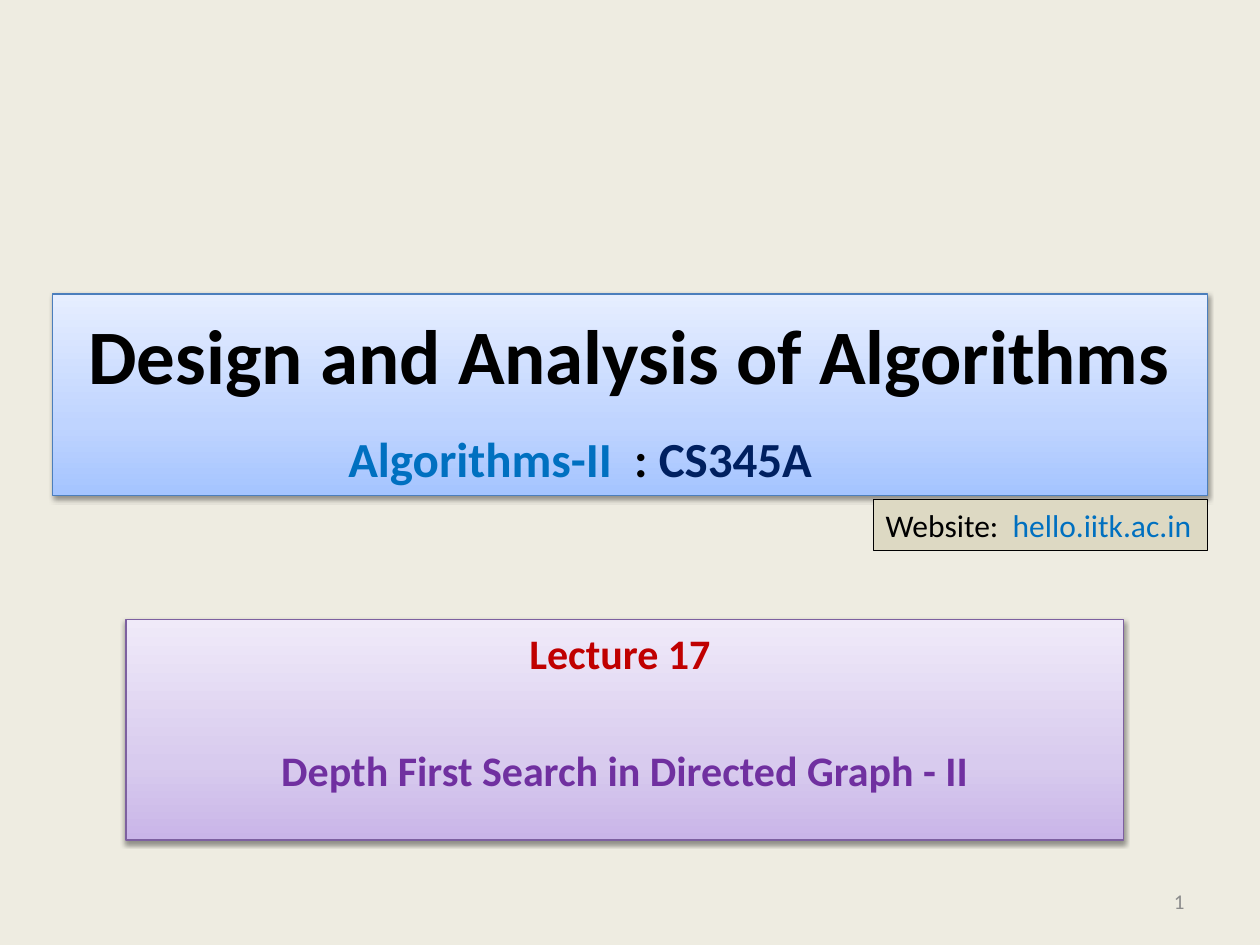
"""Build the title slide of a lecture on directed graph search."""
from dataclasses import dataclass

from lxml import etree
from pptx import Presentation
from pptx.dml.color import RGBColor
from pptx.enum.shapes import MSO_SHAPE
from pptx.enum.text import MSO_ANCHOR, PP_ALIGN
from pptx.oxml.ns import qn
from pptx.util import Pt

RECTANGLE = MSO_SHAPE.RECTANGLE
TOP, MIDDLE = MSO_ANCHOR.TOP, MSO_ANCHOR.MIDDLE
LEFT, CENTER, RIGHT = PP_ALIGN.LEFT, PP_ALIGN.CENTER, PP_ALIGN.RIGHT


@dataclass(frozen=True)
class Theme:
    font: str = "Calibri"
    background: str = "EEECE1"
    black: str = "000000"
    blue: str = "0070C0"
    navy: str = "002060"
    red: str = "C00000"
    purple: str = "7030A0"
    gray: str = "8C8C8C"
    tan: str = "DDD9C3"
    title_line: str = "4B7EBC"
    lecture_line: str = "7D60A0"
    title_stops: tuple[str, ...] = ("A4C4FF", "BFD4FF", "E6EEFF")
    lecture_stops: tuple[str, ...] = ("C9B5E8", "D8CBEE", "F0EAF9")
    stop_positions: tuple[int, ...] = (0, 35, 100)
    title_size: int = 44
    course_size: int = 28
    lecture_size: int = 24
    website_size: int = 18
    number_size: int = 12


@dataclass(frozen=True)
class Box:
    left: float
    top: float
    width: float
    height: float

    def lengths(self) -> tuple:
        return Pt(self.left), Pt(self.top), Pt(self.width), Pt(self.height)


@dataclass(frozen=True)
class Run:
    text: str
    color: str


THEME = Theme()


def rgb(color: str) -> RGBColor:
    return RGBColor.from_string(color)


def add_rectangle(slide, box: Box, line: str):
    shape = slide.shapes.add_shape(RECTANGLE, *box.lengths())
    shape.shadow.inherit = False
    shape.line.color.rgb = rgb(line)
    shape.line.width = Pt(0.75)
    return shape


def add_panel(slide, box: Box, line: str, stops: tuple[str, ...]):
    shape = add_rectangle(slide, box, line)
    shape.fill.gradient()
    shape.fill.gradient_angle = 90
    properties = shape._element.spPr
    stop_list = properties.find(".//" + qn("a:gsLst"))
    stop_list.clear()
    for position, color in zip(THEME.stop_positions, stops):
        stop = etree.SubElement(stop_list, qn("a:gs"), pos=str(position * 1000))
        etree.SubElement(stop, qn("a:srgbClr"), val=color)
    shadow = etree.SubElement(
        properties.find(qn("a:effectLst")), qn("a:outerShdw"),
        blurRad=str(Pt(3.1)), dist=str(Pt(1.6)), dir="5400000", rotWithShape="0")
    shadow_color = etree.SubElement(shadow, qn("a:srgbClr"), val=THEME.black)
    etree.SubElement(shadow_color, qn("a:alpha"), val="38000")
    return shape


def write_text(shape, *paragraphs: list[Run], size: float, bold: bool = False,
               align=LEFT, anchor=TOP, wrap: bool = True,
               inset_top: float = 3.6, gap: float = 0) -> None:
    frame = shape.text_frame
    frame.word_wrap = wrap
    frame.vertical_anchor = anchor
    frame.margin_top = Pt(inset_top)
    for index, runs in enumerate(paragraphs):
        paragraph = frame.add_paragraph() if index else frame.paragraphs[0]
        paragraph.alignment = align
        if index:
            paragraph.space_before = Pt(gap)
        for item in runs:
            run = paragraph.add_run()
            run.text = item.text
            run.font.name = THEME.font
            run.font.size = Pt(size)
            run.font.bold = bold
            run.font.color.rgb = rgb(item.color)


def main() -> None:
    presentation = Presentation()
    presentation.slide_width, presentation.slide_height = Pt(720), Pt(540)
    slide = presentation.slides.add_slide(presentation.slide_layouts[6])
    slide.background.fill.solid()
    slide.background.fill.fore_color.rgb = rgb(THEME.background)

    title = add_panel(slide, Box(30, 168, 660, 115.2), THEME.title_line, THEME.title_stops)
    write_text(title, [Run("Design and Analysis of Algorithms", THEME.black)],
               size=THEME.title_size, bold=True, align=CENTER, inset_top=8)

    lecture = add_panel(slide, Box(72, 354, 570, 126), THEME.lecture_line, THEME.lecture_stops)
    write_text(lecture, [Run("Lecture 17 ", THEME.red)],
               [Run("Depth First Search in Directed Graph - II", THEME.purple)],
               size=THEME.lecture_size, bold=True, align=CENTER, inset_top=4.6, gap=38)

    number = slide.shapes.add_textbox(*Box(516, 500.5, 168, 28.8).lengths())
    write_text(number, [Run("1", THEME.gray)], size=THEME.number_size,
               align=RIGHT, anchor=MIDDLE)

    website = add_rectangle(slide, Box(499, 285.6, 191, 29), THEME.black)
    website.fill.solid()
    website.fill.fore_color.rgb = rgb(THEME.tan)
    write_text(website, [Run("Website:  ", THEME.black), Run("hello.iitk.ac.in", THEME.blue)],
               size=THEME.website_size, wrap=False)

    course = slide.shapes.add_textbox(*Box(192, 241.2, 336, 41).lengths())
    write_text(course, [Run("Algorithms-II  ", THEME.blue), Run(": ", THEME.black),
                        Run("CS345A", THEME.navy)],
               size=THEME.course_size, bold=True)

    presentation.save("out.pptx")


if __name__ == "__main__":
    main()
